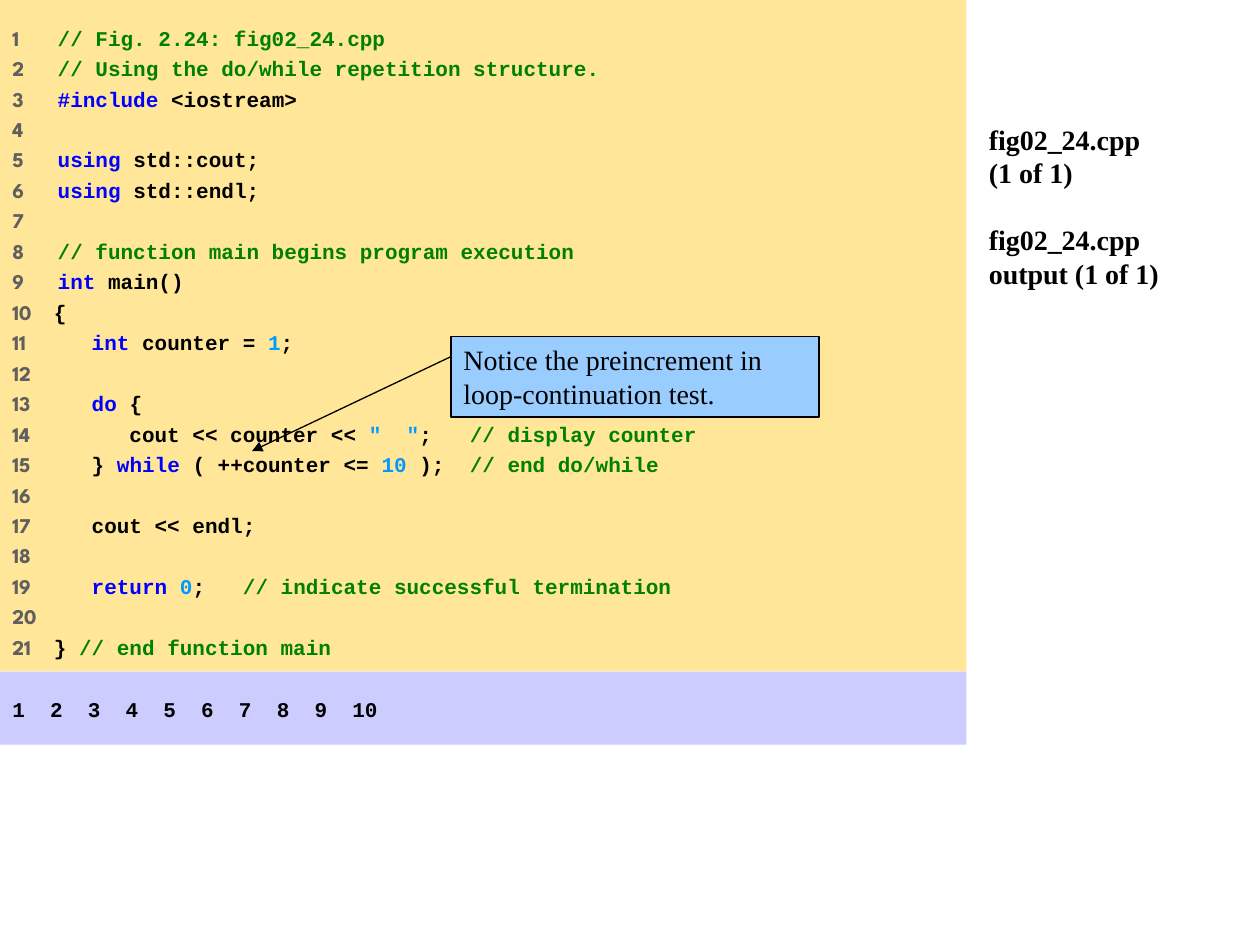
"""Build a slide with a C++ listing, its output and a callout."""
from lxml import etree
from pptx import Presentation
from pptx import util as u
from pptx.dml import color
from pptx.enum import shapes, text
from pptx.oxml import ns

WIDTH, HEIGHT = 10, 7.5
CODE_WIDTH, CODE_HEIGHT, OUTPUT_HEIGHT = 7.67, 5.33, 0.58
ONE_DIGIT_TAB, TWO_DIGIT_TAB = 0.36, 0.33
CODE_FONT, NUMBER_FONT, PROSE_FONT = "Courier New", "League Spartan", "Times New Roman"
PLAIN, KEYWORD, COMMENT, LITERAL = "000000", "0000FF", "008000", "0099FF"
NUMBER = "5F5F5F"

LISTING = [
    [(COMMENT, "// Fig. 2.24: fig02_24.cpp")],
    [(COMMENT, "// Using the do/while repetition structure.")],
    [(KEYWORD, "#include"), (PLAIN, " <iostream>")],
    [],
    [(KEYWORD, "using"), (PLAIN, " std::cout;")],
    [(KEYWORD, "using"), (PLAIN, " std::endl;")],
    [],
    [(COMMENT, "// function main begins program execution")],
    [(KEYWORD, "int"), (PLAIN, " main()")],
    [(PLAIN, "{")],
    [(KEYWORD, "   int"), (PLAIN, " counter = "), (LITERAL, "1"), (PLAIN, ";")],
    [],
    [(KEYWORD, "   do"), (PLAIN, " {")],
    [(PLAIN, "      cout << counter << "), (LITERAL, '"  "'),
     (PLAIN, ";   "), (COMMENT, "// display counter")],
    [(PLAIN, "   } "), (KEYWORD, "while"), (PLAIN, " ( ++counter <= "),
     (LITERAL, "10"), (PLAIN, " );  "), (COMMENT, "// end do/while")],
    [],
    [(PLAIN, "   cout << endl;")],
    [],
    [(KEYWORD, "   return "), (LITERAL, "0"), (PLAIN, ";   "),
     (COMMENT, "// indicate successful termination")],
    [],
    [(PLAIN, "} "), (COMMENT, "// end function main")],
]


def rgb(value):
    """Return the colour for a hex string."""
    return color.RGBColor.from_string(value)


def style_font(font, name, size, bold=False, shade=PLAIN):
    """Set the face, size, weight and colour of a font."""
    font.name, font.size, font.bold = name, u.Pt(size), bold
    font.color.rgb = rgb(shade)


def set_frame(shape, vertical_inset):
    """Wrap the text of a shape from its top and return the frame."""
    frame = shape.text_frame
    frame.word_wrap = True
    frame.vertical_anchor = text.MSO_ANCHOR.TOP
    frame.margin_top = frame.margin_bottom = u.Inches(vertical_inset)
    return frame


def add_panel(parent, box, fill, vertical_inset, outline=None):
    """Add a filled rectangle and return its text frame."""
    shape = parent.add_shape(shapes.MSO_SHAPE.RECTANGLE, *map(u.Inches, box))
    shape.shadow.inherit = False
    shape.fill.solid()
    shape.fill.fore_color.rgb = rgb(fill)
    if outline:
        shape.line.color.rgb = rgb(outline)
        shape.line.width = u.Pt(0.75)
    else:
        shape.line.fill.background()
    return set_frame(shape, vertical_inset)


def write_paragraph(frame, index, words=""):
    """Return the left-aligned paragraph at an index, adding it if needed."""
    paragraph = frame.add_paragraph() if index else frame.paragraphs[0]
    paragraph.text = words
    paragraph.alignment = text.PP_ALIGN.LEFT
    return paragraph


def set_tab(paragraph, position):
    """Give a paragraph one left tab stop."""
    properties = paragraph._p.get_or_add_pPr()
    tabs = etree.SubElement(properties, ns.qn("a:tabLst"))
    etree.SubElement(tabs, ns.qn("a:tab"), pos=str(u.Inches(position)), algn="l")


def add_listing(slide):
    """Add the numbered, coloured source code."""
    frame = add_panel(slide.shapes, (0, 0, CODE_WIDTH, CODE_HEIGHT), "FFE699", 0.2)
    for index, pieces in enumerate(LISTING):
        paragraph = write_paragraph(frame, index)
        paragraph.space_before = u.Pt(3)
        set_tab(paragraph, ONE_DIGIT_TAB if index < 9 else TWO_DIGIT_TAB)
        number = f"{index + 1}\t" if pieces else str(index + 1)
        for shade, words in [(NUMBER, number), *pieces]:
            run = paragraph.add_run()
            run.text = words
            face = NUMBER_FONT if shade == NUMBER else CODE_FONT
            style_font(run.font, face, 12, True, shade)


def add_output(slide):
    """Add the program output below the listing."""
    box = (0, CODE_HEIGHT, CODE_WIDTH, OUTPUT_HEIGHT)
    frame = add_panel(slide.shapes, box, "CCCCFF", 0.2)
    paragraph = write_paragraph(frame, 0, "  ".join(map(str, range(1, 11))))
    paragraph.space_before = u.Pt(3)
    style_font(paragraph.font, CODE_FONT, 12, True)


def add_captions(slide):
    """Add the file captions beside the listing."""
    box = (7.75, 0.92, WIDTH - 7.75, 5.25)
    frame = set_frame(slide.shapes.add_textbox(*map(u.Inches, box)), 0.05)
    captions = ["fig02_24.cpp\v(1 of 1)", "fig02_24.cpp\voutput (1 of 1)"]
    for index, words in enumerate(captions):
        paragraph = write_paragraph(frame, index, words)
        paragraph.space_before = u.Pt(19 * index)
        style_font(paragraph.font, PROSE_FONT, 16, True)


def add_arrow(parent, start, end):
    """Add a thin line with a triangle at its end."""
    points = map(u.Inches, (*start, *end))
    arrow = parent.add_connector(shapes.MSO_CONNECTOR.STRAIGHT, *points)
    arrow.line.color.rgb = rgb(PLAIN)
    arrow.line.width = u.Pt(0.75)
    etree.SubElement(arrow.line._get_or_add_ln(), ns.qn("a:tailEnd"), type="triangle")
    etree.SubElement(arrow._element.spPr, ns.qn("a:effectLst"))


def add_callout(slide):
    """Add the grouped note and its arrow to the loop test."""
    group = slide.shapes.add_group_shape().shapes
    frame = add_panel(group, (3.58, 2.67, 2.92, 0.64), "99CCFF", 0.05, PLAIN)
    words = "Notice the preincrement in loop-continuation test."
    style_font(write_paragraph(frame, 0, words).font, PROSE_FONT, 16)
    add_arrow(group, (3.58, 2.83), (2, 3.58))


def main():
    """Build and save the presentation."""
    presentation = Presentation()
    presentation.slide_width = u.Inches(WIDTH)
    presentation.slide_height = u.Inches(HEIGHT)
    slide = presentation.slides.add_slide(presentation.slide_layouts[6])
    add_captions(slide)
    add_listing(slide)
    add_output(slide)
    add_callout(slide)
    presentation.save("out.pptx")


if __name__ == "__main__":
    main()
